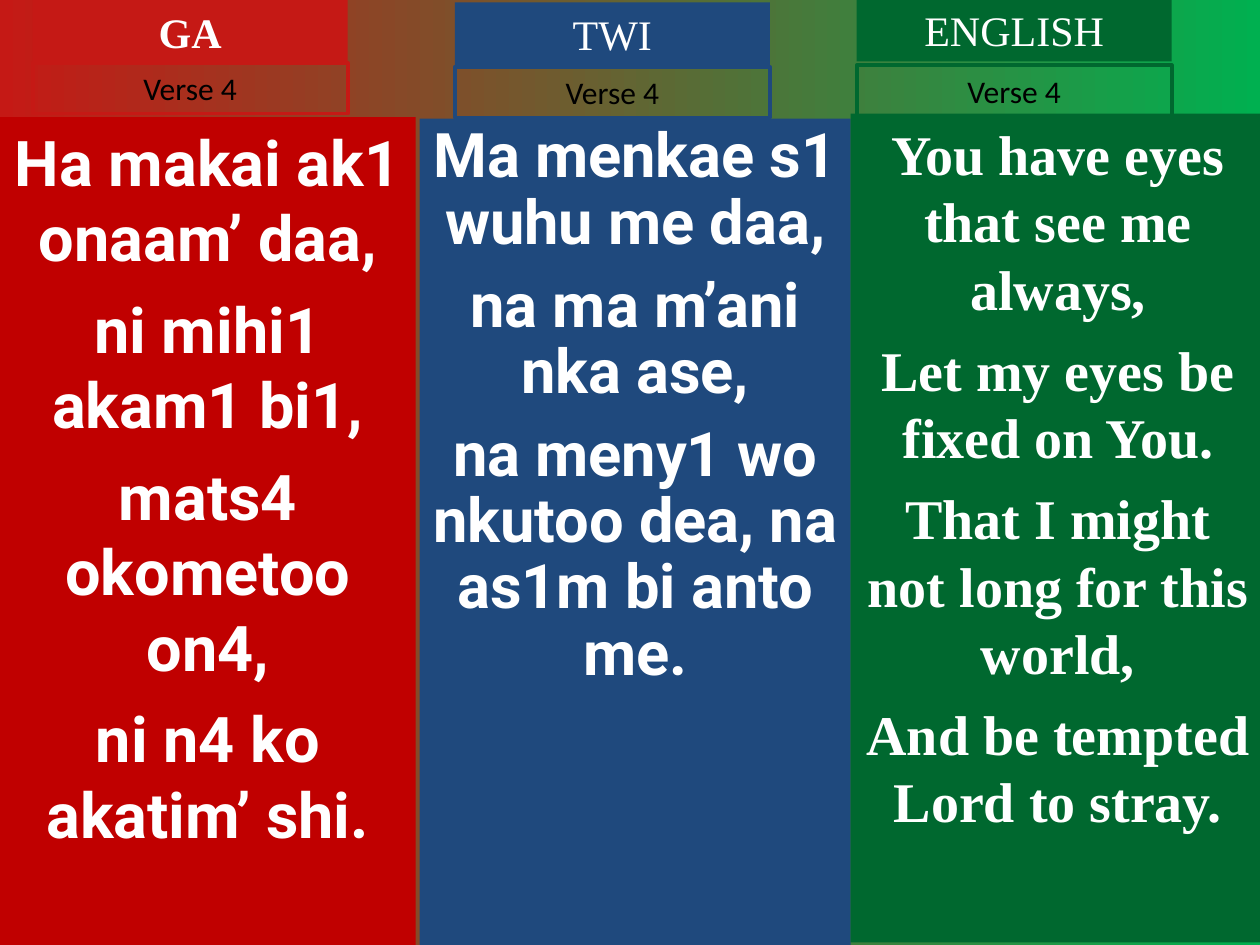
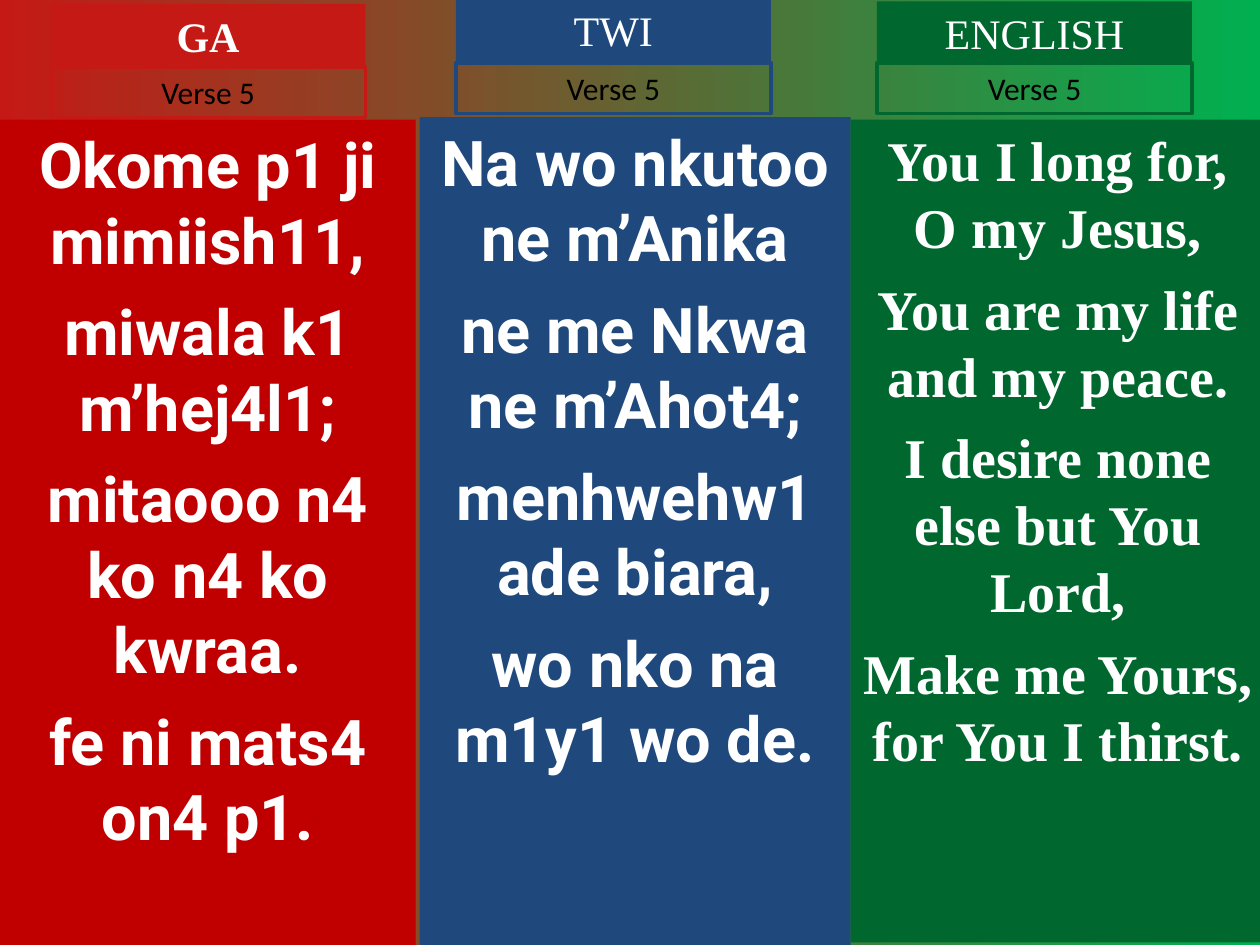
from pptx import Presentation
from pptx.dml.color import RGBColor
from pptx.enum.text import MSO_ANCHOR, MSO_AUTO_SIZE as AutoSize, PP_ALIGN
from pptx.util import Cm, Pt

WHITE, BLACK = "FFFFFF", "000000"
RED, BLUE, GREEN = "C51915", "1F497D", "00682F"
BACKGROUND = [RED, "00B050"]
TAG_WIDTH, TITLE_HEIGHT, VERSE_HEIGHT = 6.35, 1.27, 1.02

# Each language: title, bold title, tag colour, panel colour, panel left, width, bottom
LANGUAGES = [
    ("GA", True, RED, "C00000", 0, 8.38, 19.05),
    ("TWI", False, BLUE, BLUE, 8.46, 8.69, 19.05),
    ("ENGLISH", False, GREEN, GREEN, 17.15, 8.36, 19),
]

TITLE = {"name": "Times New Roman", "size": Pt(24)}
VERSE = {"name": "Calibri", "size": Pt(18), "bold": False}
ROBOTO = {"name": "Roboto", "size": Pt(36), "bold": True}
ROBOTO_TIGHT = {**ROBOTO, "size": Pt(35.1)}
TIMES = {"name": "Times New Roman", "size": Pt(32), "bold": True}

# Each column: panel top, tag left, title top, verse top, font, space before,
# line spacing, lines of the hymn
VERSES = {
    "Verse 4": [
        (2.36, 0.66, 0, 1.27, ROBOTO, 9, 1,
         ["Ha makai ak1 onaam’ daa,", "ni mihi1 akam1 bi1,",
          "mats4 okometoo on4,", "ni n4 ko akatim’ shi."]),
        (2.39, 9.17, 0.05, 1.35, ROBOTO_TIGHT, 9.5, 0.9,
         ["Ma menkae s1 wuhu me daa,", "na ma m’ani nka ase,",
          "na meny1 wo nkutoo dea, na as1m bi anto me."]),
        (2.29, 17.27, -0.03, 1.32, TIMES, 8, 1,
         ["You have eyes that see me always,", "Let my eyes be fixed on You.",
          "That I might not long for this world,", "And be tempted Lord to stray."]),
    ],
    "Verse 5": [
        (2.41, 1.02, 0.08, 1.35, ROBOTO, 9, 1,
         ["Okome p1 ji mimiish11,", "miwala k1 m’hej4l1;",
          "mitaooo n4 ko n4 ko kwraa.", "fe ni mats4 on4 p1."]),
        (2.36, 9.19, -0.03, 1.27, ROBOTO, 9, 1,
         ["Na wo nkutoo ne m’Anika", "ne me Nkwa ne m’Ahot4;",
          "menhwehw1 ade biara,", "wo nko na m1y1 wo de."]),
        (2.41, 17.68, 0.03, 1.27, TIMES, 8, 1,
         ["You I long for, O my Jesus,", "You are my life and my peace.",
          "I desire none else but You Lord,", "Make me Yours, for You I thirst."]),
    ],
}


def rgb(value):
    return RGBColor.from_string(value)


def add_text(page, place, lines, font, color, before=0, spacing=None):
    """Add a box of centred paragraphs at place (left, top, width, height in cm)."""
    box = page.shapes.add_textbox(*[Cm(length) for length in place])
    frame = box.text_frame
    frame.word_wrap = True
    frame.vertical_anchor = MSO_ANCHOR.TOP
    for index, line in enumerate(lines):
        para = frame.paragraphs[0] if index == 0 else frame.add_paragraph()
        para.alignment = PP_ALIGN.CENTER
        para.space_before = Pt(before if index else 0)
        para.line_spacing = spacing
        span = para.add_run()
        span.text = line
        span.font.color.rgb = rgb(color)
        for name, value in font.items():
            setattr(span.font, name, value)
    return box


deck = Presentation()
deck.slide_width, deck.slide_height = Cm(25.4), Cm(19.05)

for verse, columns in VERSES.items():
    page = deck.slides.add_slide(deck.slide_layouts[6])
    backdrop = page.background.fill
    backdrop.gradient()
    backdrop.gradient_angle = 0
    for stop, color in zip(backdrop.gradient_stops, BACKGROUND):
        stop.color.rgb = rgb(color)

    for language, column in zip(LANGUAGES, columns):
        title, bold, tag_color, panel_color, left, width, bottom = language
        top, tag_left, title_top, verse_top, font, before, spacing, lines = column

        panel = add_text(page, (left, top, width, bottom - top), lines, font,
                         WHITE, before, spacing)
        panel.fill.solid()
        panel.fill.fore_color.rgb = rgb(panel_color)

        title_tag = add_text(page, (tag_left, title_top, TAG_WIDTH, TITLE_HEIGHT),
                             [title], {**TITLE, "bold": bold}, WHITE)
        title_tag.fill.solid()
        title_tag.fill.fore_color.rgb = rgb(tag_color)

        verse_tag = add_text(page, (tag_left, verse_top, TAG_WIDTH, VERSE_HEIGHT),
                             [verse], VERSE, BLACK)
        verse_tag.line.color.rgb = rgb(tag_color)
        verse_tag.line.width = Pt(2.25)

        for tag in (title_tag, verse_tag):
            tag.text_frame.auto_size = AutoSize.SHAPE_TO_FIT_TEXT

deck.save("out.pptx")
